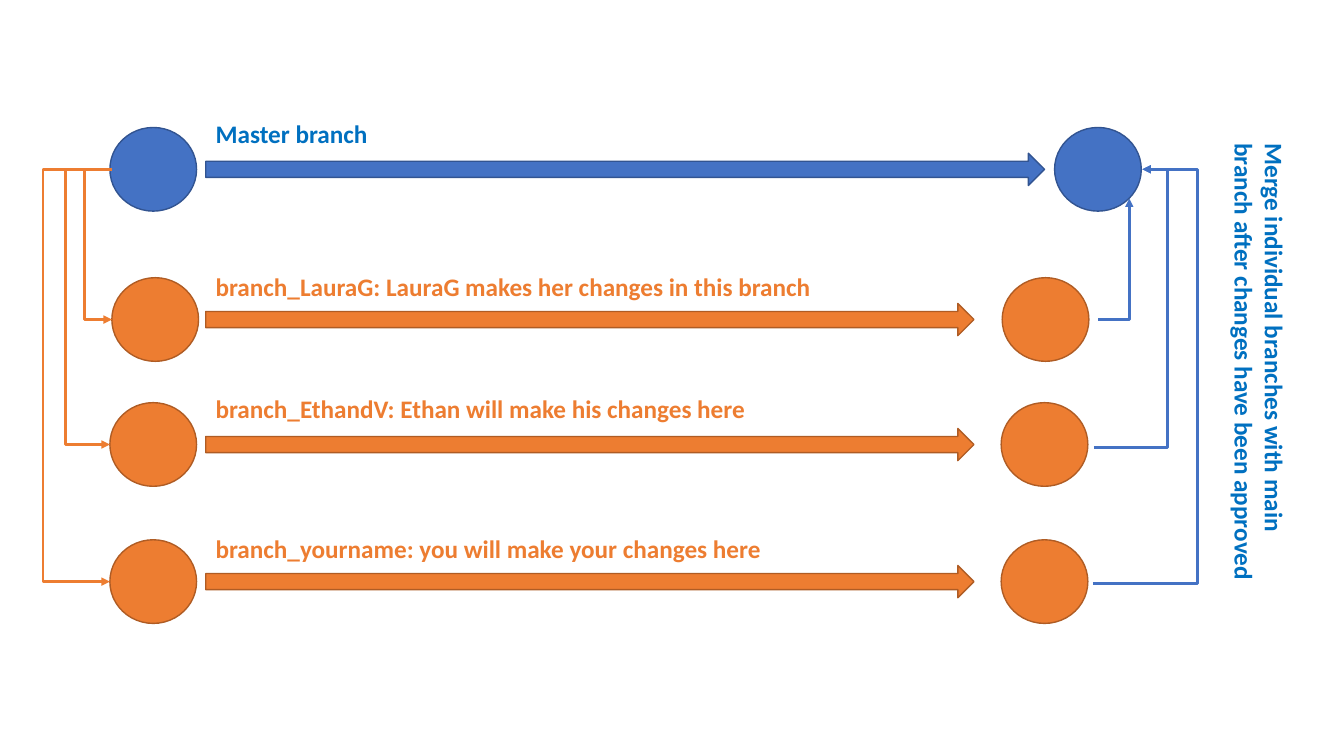
from dataclasses import dataclass

import pptx
import pptx.dml.color
import pptx.enum.shapes
import pptx.enum.text
import pptx.oxml
import pptx.oxml.ns
import pptx.util
from pptx.shapes.autoshape import Shape
from pptx.slide import Slide

RGBColor = pptx.dml.color.RGBColor
PresetShape = pptx.enum.shapes.MSO_SHAPE

BLUE = RGBColor(0x44, 0x72, 0xC4)
BLUE_EDGE = RGBColor(0x32, 0x54, 0x91)
ORANGE = RGBColor(0xED, 0x7D, 0x31)
ORANGE_EDGE = RGBColor(0xAF, 0x5C, 0x24)
TEXT_BLUE = RGBColor(0x00, 0x70, 0xC0)

EMU_PER_PX = 9144  # 100 px to the inch
CIRCLE_WIDTH, CIRCLE_HEIGHT = 86, 83
ARROW_LEFT, ARROW_HEIGHT = 204, 32
LABEL_WIDTH, LABEL_HEIGHT = 754, 40


@dataclass(frozen=True)
class Branch:
    label: str
    label_top: int
    middle: int
    start_left: int
    end_left: int
    arrow_width: int
    fill: RGBColor
    edge: RGBColor
    text_color: RGBColor


@dataclass(frozen=True)
class Elbow:
    """Runs sideways to bend_x, then up or down, then to the end."""
    start: tuple[int, int]
    bend_x: int
    end: tuple[int, int]
    color: RGBColor


BRANCHES = [
    Branch("Master branch", 112, 168, 109, 1046, 832,
           BLUE, BLUE_EDGE, TEXT_BLUE),
    Branch("branch_LauraG: LauraG makes her changes in this branch",
           264, 317, 111, 994, 762, ORANGE, ORANGE_EDGE, ORANGE),
    Branch("branch_EthandV: Ethan will make his changes here",
           385, 441, 109, 993, 762, ORANGE, ORANGE_EDGE, ORANGE),
    Branch("branch_yourname: you will make your changes here",
           524, 577, 109, 993, 762, ORANGE, ORANGE_EDGE, ORANGE),
]

ELBOWS = [
    # Branching off from master
    Elbow((109, 168), 84, (111, 317), ORANGE),
    Elbow((111, 168), 65, (109, 441), ORANGE),
    Elbow((111, 168), 43, (109, 577), ORANGE),
    # Merging back into master
    Elbow((1089, 317), 1120, (1120, 197), BLUE),
    Elbow((1085, 444), 1158, (1133, 168), BLUE),
    Elbow((1084, 579), 1188, (1133, 168), BLUE),
]


def px(length: int) -> pptx.util.Emu:
    return pptx.util.Emu(length * EMU_PER_PX)


def add_block(page: Slide, kind: PresetShape, left: int, middle: int,
              width: int, height: int, branch: Branch) -> None:
    block = page.shapes.add_shape(
        kind, px(left), px(middle) - px(height) // 2, px(width), px(height))
    block.shadow.inherit = False
    block.fill.solid()
    block.fill.fore_color.rgb = branch.fill
    block.line.color.rgb = branch.edge
    block.line.width = pptx.util.Pt(1)


def add_label(page: Slide, text: str, left: int, top: int, width: int,
              height: int, color: RGBColor) -> Shape:
    box = page.shapes.add_textbox(px(left), px(top), px(width), px(height))
    box.text_frame.word_wrap = True
    box.text_frame.auto_size = pptx.enum.text.MSO_AUTO_SIZE.SHAPE_TO_FIT_TEXT
    span = box.text_frame.paragraphs[0].add_run()
    span.text = text
    font_format = {"name": "Calibri", "size": pptx.util.Pt(18), "bold": True}
    for attribute, value in font_format.items():
        setattr(span.font, attribute, value)
    span.font.color.rgb = color
    return box


def add_elbow(page: Slide, elbow: Elbow) -> None:
    (start_x, start_y), (end_x, end_y) = elbow.start, elbow.end
    connector = page.shapes.add_connector(
        pptx.enum.shapes.MSO_CONNECTOR.ELBOW,
        px(start_x), px(start_y), px(end_x), px(end_y))
    connector.line.color.rgb = elbow.color
    connector.line.width = pptx.util.Pt(2)

    # Bend position, as a share of the way from start to end
    qn = pptx.oxml.ns.qn
    properties = connector._element.spPr
    geometry = properties.find(qn("a:prstGeom"))
    if elbow.bend_x == end_x:
        geometry.set("prst", "bentConnector2")
    else:
        share = round((elbow.bend_x - start_x) / (end_x - start_x) * 100000)
        guide = geometry.get_or_add_avLst().makeelement(
            qn("a:gd"), {"name": "adj1", "fmla": f"val {share}"})
        geometry.get_or_add_avLst().append(guide)

    # Arrowhead, and no shadow
    line = properties.find(qn("a:ln"))
    line.append(line.makeelement(qn("a:tailEnd"), {"type": "triangle"}))
    properties.append(properties.makeelement(qn("a:effectLst"), {}))


def add_branch(page: Slide, branch: Branch) -> None:
    for left in (branch.start_left, branch.end_left):
        add_block(page, PresetShape.OVAL, left, branch.middle,
                  CIRCLE_WIDTH, CIRCLE_HEIGHT, branch)
    add_block(page, PresetShape.RIGHT_ARROW, ARROW_LEFT, branch.middle,
              branch.arrow_width, ARROW_HEIGHT, branch)
    add_label(page, branch.label, ARROW_LEFT, branch.label_top,
              LABEL_WIDTH, LABEL_HEIGHT, branch.text_color)


def main() -> None:
    deck = pptx.Presentation()
    deck.slide_width, deck.slide_height = px(1333), px(750)
    page = deck.slides.add_slide(deck.slide_layouts.get_by_name("Blank"))

    for branch in BRANCHES:
        add_branch(page, branch)
    for elbow in ELBOWS:
        add_elbow(page, elbow)

    # Sideways note on merging
    note = add_label(
        page, "Merge individual branches with main branch after changes "
        "have been approved", 1021, 325, 456, 71, TEXT_BLUE)
    note.rotation = 90

    deck.save("out.pptx")


if __name__ == "__main__":
    main()
